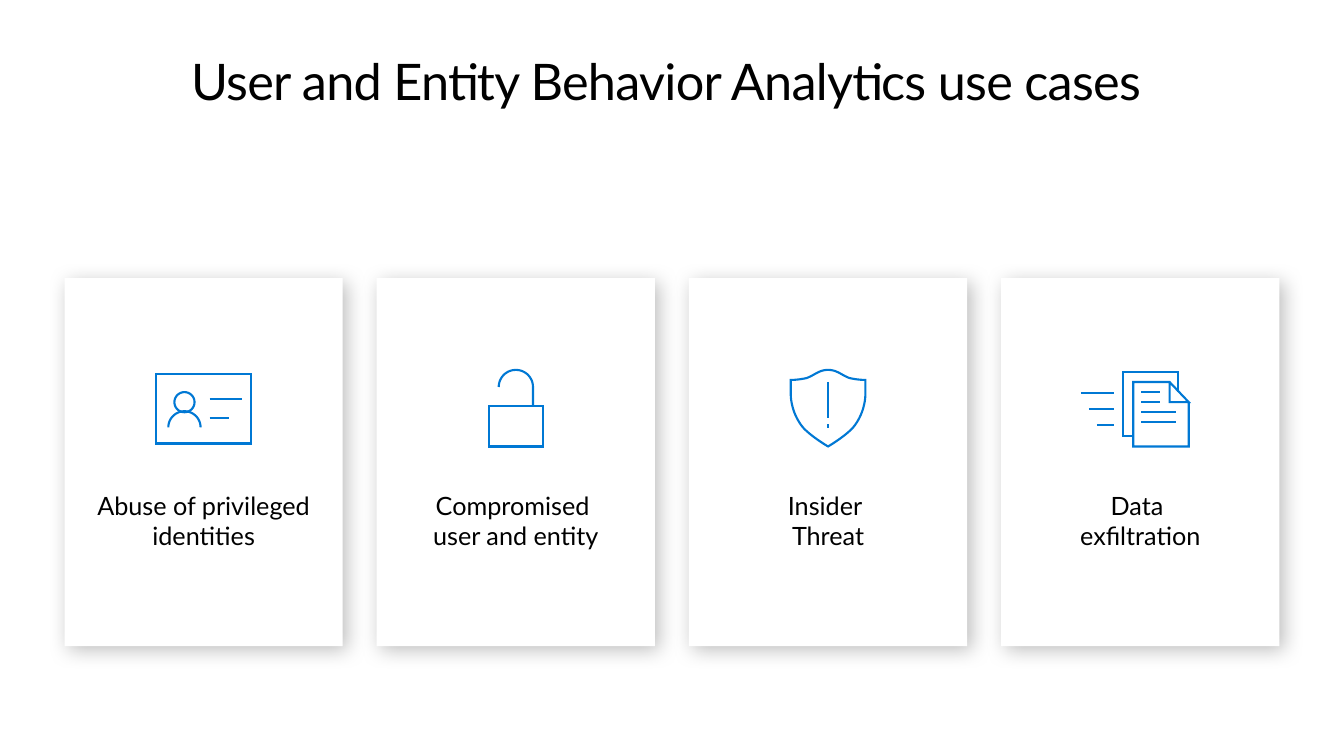
import math
from lxml import etree
from pptx import Presentation
from pptx import util as u
from pptx.dml.color import RGBColor
from pptx.enum import shapes, text
from pptx.oxml.ns import qn

BLACK = RGBColor(0x00, 0x00, 0x00)
WHITE = RGBColor(0xFF, 0xFF, 0xFF)
BLUE = RGBColor(0x00, 0x78, 0xD4)
FONT = "Lato"


# Stroke helpers, in inches from the centre of an icon
def box(left, top, right, bottom):
    return [(left, top), (right, top), (right, bottom), (left, bottom), (left, top)]


def arc(x, y, radius, start, end, steps=32):
    angles = [math.radians(start + (end - start) * i / steps) for i in range(steps + 1)]
    return [(x + radius * math.cos(a), y + radius * math.sin(a)) for a in angles]


def curve(*controls, steps=16):
    points = []
    for i in range(steps + 1):
        t = i / steps
        weights = ((1 - t) ** 3, 3 * t * (1 - t) ** 2, 3 * t * t * (1 - t), t ** 3)
        points.append(tuple(sum(w * c[axis] for w, c in zip(weights, controls))
                            for axis in (0, 1)))
    return points


def row(y, left, right):
    return [(left, y), (right, y)]


# Content: \v breaks a line, \n starts a paragraph
TITLE = "User and Entity Behavior Analytics use cases "

BADGE = [box(-0.47, -0.34, 0.47, 0.35), row(-0.09, 0.06, 0.38), row(0.1, 0.06, 0.25),
         arc(-0.19, -0.06, 0.1, 0, 360), arc(-0.19, 0.19, 0.16, 180, 360)]

PADLOCK = [box(-0.27, -0.02, 0.27, 0.38),
           [(0.17, -0.02)] + arc(0, -0.21, 0.17, 0, -180)]

shield_half = (curve((0, -0.38), (0.09, -0.38), (0.13, -0.33), (0.21, -0.3))
               + curve((0.21, -0.3), (0.29, -0.28), (0.37, -0.28), (0.37, -0.28))
               + curve((0.37, -0.15), (0.37, -0.15), (0.38, 0.03), (0.25, 0.19))
               + curve((0.25, 0.19), (0.17, 0.28), (0, 0.38), (0, 0.38)))
SHIELD = [shield_half + [(-x, y) for x, y in reversed(shield_half)],
          [(0, -0.26), (0, 0.1)], [(0, 0.16), (0, 0.2)]]

SPEED_LINES = [row(-0.15 + 0.16 * i, -0.59 + 0.08 * i, -0.26) for i in range(3)]
DOCUMENTS = [
    [(-0.07, 0.28), (-0.17, 0.28), (-0.17, -0.36), (0.37, -0.36), (0.37, -0.16)],
    [(0.29, -0.26), (0.29, -0.06), (0.48, -0.06), (0.29, -0.26), (-0.07, -0.26),
     (-0.07, 0.38), (0.48, 0.38), (0.48, -0.06)],
] + [row(-0.16 + 0.1 * i, 0.01, right) for i, right in enumerate((0.2, 0.2, 0.35, 0.35))]

# Each card: label and icon parts
CARDS = [
    ("Abuse of privileged identities", [BADGE]),
    ("Compromised \vuser and entity", [PADLOCK]),
    ("Insider \nThreat", [SHIELD]),
    ("Data \vexfiltration", [SPEED_LINES, DOCUMENTS]),
]

# Grid
WIDTH, HEIGHT = 13.33, 7.5
MARGIN = 0.64
CARD_WIDTH, CARD_HEIGHT, CARD_TOP = 2.76, 3.65, 2.76
PITCH = (WIDTH - 2 * MARGIN - CARD_WIDTH) / (len(CARDS) - 1)
ICON_MIDDLE = 4.05

presentation = Presentation()
presentation.slide_width, presentation.slide_height = u.Inches(WIDTH), u.Inches(HEIGHT)
slide = presentation.slides.add_slide(presentation.slide_layouts[5])


def write(shape, words, size, insets):
    frame = shape.text_frame
    frame.text = words
    left, top, right, bottom = (u.Inches(inset) for inset in insets)
    frame_format = {"word_wrap": True, "auto_size": text.MSO_AUTO_SIZE.NONE,
                    "vertical_anchor": text.MSO_ANCHOR.TOP, "margin_left": left,
                    "margin_top": top, "margin_right": right, "margin_bottom": bottom}
    for name, value in frame_format.items():
        setattr(frame, name, value)
    for paragraph in frame.paragraphs:
        paragraph.alignment = text.PP_ALIGN.CENTER
        for run in paragraph.runs:
            for name, value in {"name": FONT, "size": u.Pt(size)}.items():
                setattr(run.font, name, value)
            run.font.color.rgb = BLACK


def add_soft_shadow(shape):
    effects = shape._element.spPr.find(qn("a:effectLst"))
    shadow = etree.SubElement(effects, qn("a:outerShdw"), blurRad=str(u.Pt(15)),
                              dist=str(u.Pt(4)), dir=str(45 * 60000), algn="tl",
                              rotWithShape="0")
    color = etree.SubElement(shadow, qn("a:srgbClr"), val=str(BLACK))
    etree.SubElement(color, qn("a:alpha"), val="25000")


def add_icon(strokes, center):
    contours = [[(u.Inches(center + x), u.Inches(ICON_MIDDLE + y)) for x, y in stroke]
                for stroke in strokes]
    builder = slide.shapes.build_freeform(*contours[0][0], scale=1.0)
    for index, contour in enumerate(contours):
        if index:
            builder.move_to(*contour[0])
        builder.add_line_segments(contour[1:], close=False)
    icon = builder.convert_to_shape()
    icon.shadow.inherit = False
    icon.fill.background()
    icon.line.color.rgb = BLUE
    icon.line.width = u.Pt(1.5)
    etree.SubElement(icon._element.spPr.find(qn("a:ln")), qn("a:miter"), lim="800000")


# Title
title = slide.shapes.title
title.left, title.top = u.Inches(MARGIN), u.Inches(0.5)
title.width, title.height = u.Inches(WIDTH - 2 * MARGIN), u.Inches(1.08)
write(title, TITLE, 36, (0, 0, 0, 0))
title.text_frame.paragraphs[0].runs[0].font._element.set("spc", "-50")

# Cards with their icons
for column, (label, icon_parts) in enumerate(CARDS):
    card_left = MARGIN + column * PITCH
    card = slide.shapes.add_shape(
        shapes.MSO_SHAPE.RECTANGLE, u.Inches(card_left), u.Inches(CARD_TOP),
        u.Inches(CARD_WIDTH), u.Inches(CARD_HEIGHT))
    card.shadow.inherit = False
    card.fill.solid()
    card.fill.fore_color.rgb = WHITE
    card.line.fill.background()
    add_soft_shadow(card)
    write(card, label, 18, (0.2, 2.1, 0.2, 0.16))
    for strokes in icon_parts:
        add_icon(strokes, card_left + CARD_WIDTH / 2)

presentation.save("out.pptx")
